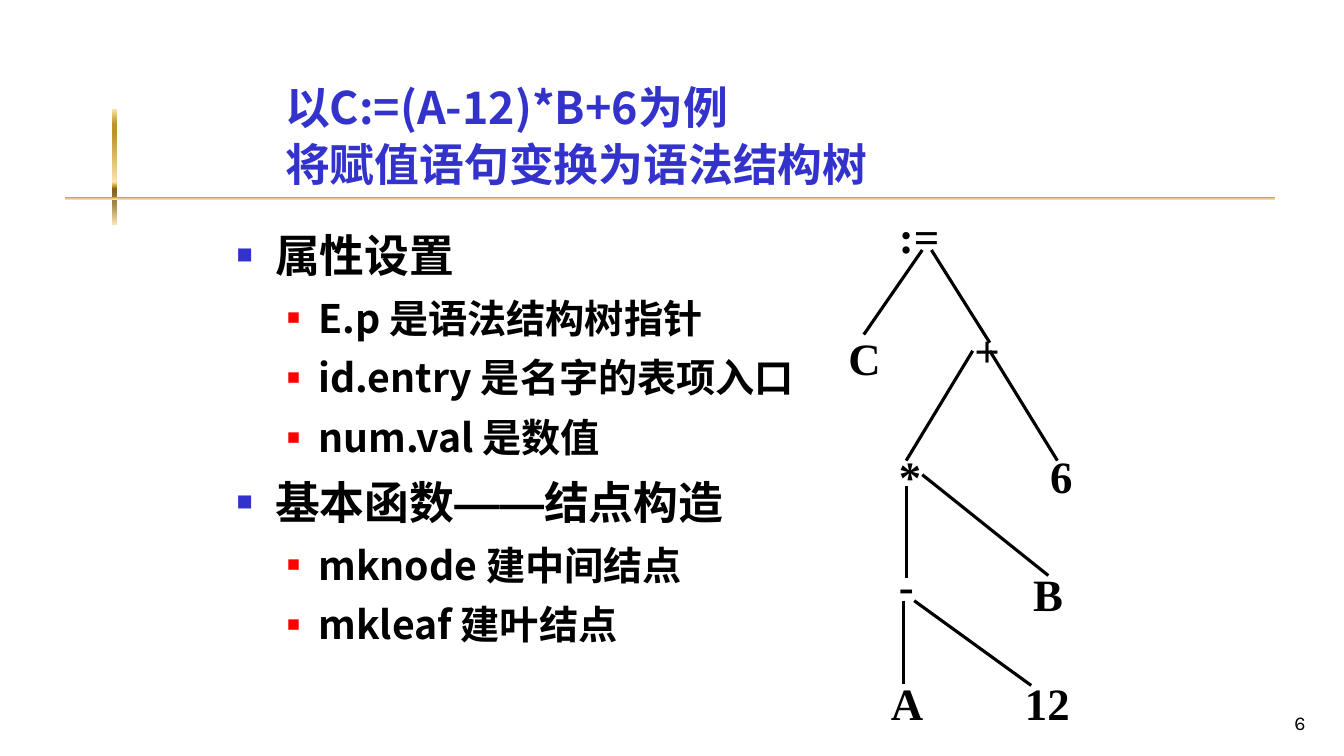
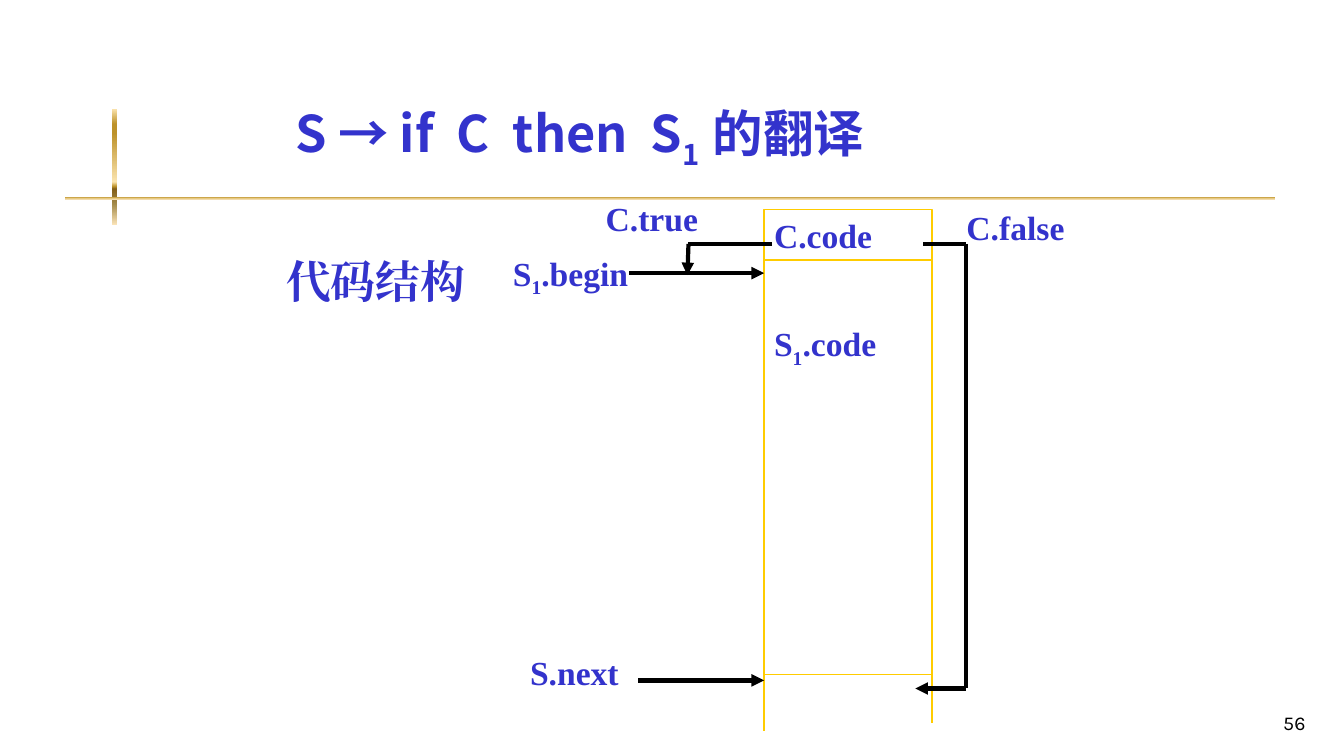
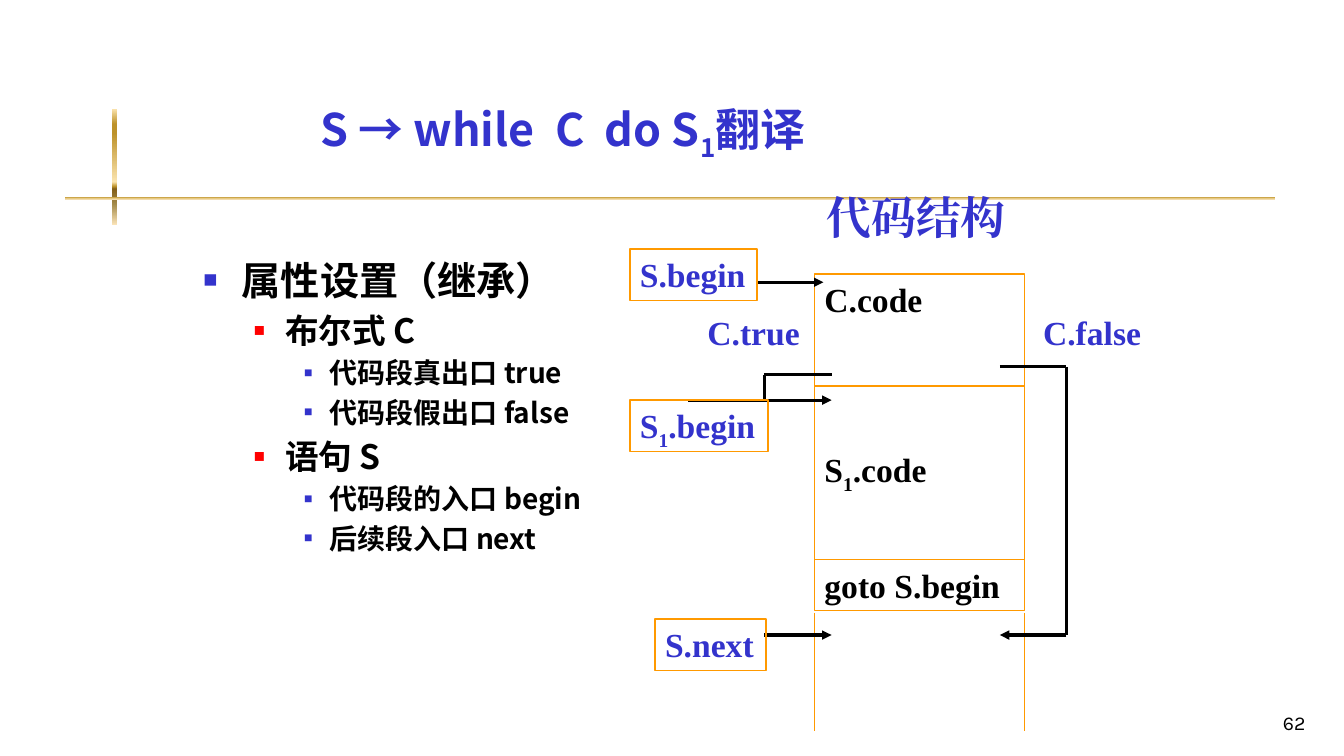
"""Build three compiler-course slides on syntax trees and control-flow translation."""
from dataclasses import dataclass
from typing import NamedTuple

from lxml.etree import SubElement
from pptx import Presentation
from pptx.dml.color import RGBColor
from pptx.enum.shapes import MSO_CONNECTOR as CONN, MSO_SHAPE as SHAPE
from pptx.enum.text import MSO_ANCHOR as ANCHOR, PP_ALIGN as ALIGN
from pptx.oxml.ns import qn
from pptx.slide import Slide
from pptx.util import Pt

COLORS = {
    "black": "000000",
    "blue": "3333CC",
    "red": "FF0000",
    "yellow": "FFCC00",
    "orange": "FF9900",
}
BAND_STOPS = [
    (0, "FBE4AE"), (13, "BD922A"), (21, "BD922A"), (63, "FBE4AE"),
    (67, "BD922A"), (69, "835E17"), (82, "A28949"), (100, "FAE3B7"),
]
SANS, SERIF, NUMBER, DASH = "Noto Sans CJK JP", "Times New Roman", "Karla", "Arial"
LINE_RATIO = 1.17
NODE_HEIGHT, LABEL_HEIGHT, CELL_HEIGHT = 45.4, 36, 36.7
SECOND_LINE_INSET = 45


class Run(NamedTuple):
    """A piece of text, optionally subscript or in another font."""
    text: str
    sub: bool = False
    font: str | None = None


class Level(NamedTuple):
    """Indents and bullet of one outline level."""
    margin: float
    hang: float
    color: str
    percent: int


class Rect(NamedTuple):
    """A position and size in points."""
    x: float
    y: float
    w: float
    h: float


class Item(NamedTuple):
    """One bulleted line of an outline."""
    level: int
    size: float
    runs: list[Run]


class Rail(NamedTuple):
    """A vertical line that continues a code column."""
    x: float
    top: float
    bottom: float


LEVELS = [
    Level(27.4, 27.4, "blue", 60),
    Level(58.3, 22.3, "red", 55),
    Level(90, 18, "blue", 50),
]
BANDS = [Rect(79.9, 77.8, 3.6, 82.8), Rect(46.8, 140.4, 864, 2.2)]


@dataclass
class Style:
    """Look of a text box."""
    size: float = 24
    font: str = SERIF
    color: str = "blue"
    bold: bool = True
    wrap: bool = True
    anchor: ANCHOR = ANCHOR.TOP
    align: ALIGN = ALIGN.LEFT
    outline: str | None = None
    top_inset: float = 3.6


@dataclass
class Route:
    """A chain of straight lines, with an optional arrowhead at its end."""
    points: list[tuple[float, float]]
    width: float = 2.25
    color: str = "black"
    arrow: bool = True


def rgb(name: str) -> RGBColor:
    """Return a named colour."""
    return RGBColor.from_string(COLORS[name])


def sub_one(before: str, after: str) -> list[Run]:
    """Return runs with a subscript 1 in the middle."""
    return [Run(before), Run("1", sub=True), Run(after)]


def add_runs(p, runs: list[Run], style: Style) -> None:
    """Append formatted runs to a paragraph."""
    for run in runs:
        r = p.add_run()
        r.text = run.text
        font = run.font or style.font
        r.font.name, r.font.size, r.font.bold = font, Pt(style.size), style.bold
        r.font.color.rgb = rgb(style.color)
        rPr = r.font._element
        SubElement(rPr, qn("a:ea")).set("typeface", font)
        if run.sub:
            rPr.set("baseline", "-25000")


def add_text(s: Slide, rect: Rect, lines: list[list[Run]], style: Style,
             leading: float | None = None) -> None:
    """Draw a text box or an outlined rectangle with text."""
    place = [Pt(v) for v in rect]
    if style.outline:
        sp = s.shapes.add_shape(SHAPE.RECTANGLE, *place)
        sp.shadow.inherit = False
        sp.fill.background()
        sp.line.color.rgb = rgb(style.outline)
        sp.line.width = Pt(1)
    else:
        sp = s.shapes.add_textbox(*place)
    tf = sp.text_frame
    tf.word_wrap = style.wrap
    tf.vertical_anchor = style.anchor
    tf.margin_top = Pt(style.top_inset)
    for i, runs in enumerate(lines):
        p = tf.add_paragraph() if i else tf.paragraphs[0]
        p.alignment = style.align
        if leading:
            p.line_spacing = Pt(round(style.size * LINE_RATIO * leading, 1))
        add_runs(p, runs, style)


def add_label(s: Slide, x: float, y: float, w: float, runs: list[Run],
              outline: str | None = None) -> None:
    """Draw a one-line blue label, boxed if an outline is given."""
    h = CELL_HEIGHT if outline else LABEL_HEIGHT
    add_text(s, Rect(x, y, w, h), [runs], Style(wrap=False, outline=outline))


def add_outline(s: Slide, rect: Rect, items: list[Item], leading: float) -> None:
    """Draw a bulleted outline."""
    tf = s.shapes.add_textbox(*[Pt(v) for v in rect]).text_frame
    tf.word_wrap = True
    for i, item in enumerate(items):
        p = tf.add_paragraph() if i else tf.paragraphs[0]
        level = LEVELS[item.level]
        p.level = item.level
        p.line_spacing = Pt(round(item.size * LINE_RATIO * leading, 1))
        p.space_before = Pt(round(item.size * LINE_RATIO * 0.2, 1))
        pPr = p._p.get_or_add_pPr()
        pPr.set("marL", str(Pt(level.margin)))
        pPr.set("indent", str(-Pt(level.hang)))
        color = SubElement(pPr, qn("a:buClr"))
        SubElement(color, qn("a:srgbClr")).set("val", COLORS[level.color])
        SubElement(pPr, qn("a:buSzPct")).set("val", str(level.percent * 1000))
        SubElement(pPr, qn("a:buFont")).set("typeface", DASH)
        SubElement(pPr, qn("a:buChar")).set("char", "■")
        add_runs(p, item.runs, Style(item.size, SANS, "black"))


def add_route(s: Slide, route: Route) -> None:
    """Draw the lines of a route one after another."""
    for start, end in zip(route.points, route.points[1:]):
        line = s.shapes.add_connector(CONN.STRAIGHT, *[Pt(v) for v in start + end])
        line.line.width = Pt(route.width)
        line.line.color.rgb = rgb(route.color)
        if route.arrow and end == route.points[-1]:
            SubElement(line.line._get_or_add_ln(), qn("a:tailEnd")).set("type", "triangle")
        SubElement(line._element.spPr, qn("a:effectLst"))


def add_rails(s: Slide, rails: list[Rail], color: str) -> None:
    """Draw the open sides below a code column."""
    for x, top, bottom in rails:
        add_route(s, Route([(x, top), (x, bottom)], 1, color, arrow=False))


def add_band(s: Slide, rect: Rect) -> None:
    """Draw one gold gradient band."""
    sp = s.shapes.add_shape(SHAPE.RECTANGLE, *[Pt(v) for v in rect])
    sp.shadow.inherit = False
    sp.line.fill.background()
    sp.fill.gradient()
    sp.fill.gradient_angle = 270
    stops = sp._element.spPr.find(qn("a:gradFill")).find(qn("a:gsLst"))
    for stop in list(stops):
        stops.remove(stop)
    for pos, color in BAND_STOPS:
        stop = SubElement(stops, qn("a:gs"))
        stop.set("pos", str(pos * 1000))
        SubElement(stop, qn("a:srgbClr")).set("val", color)


def new_slide(prs, number: int, title_at: Rect, title: list[list[Run]],
              size: float = 32, leading: float = 1) -> Slide:
    """Add a slide with bands, title and slide number."""
    s = prs.slides.add_slide(prs.slide_layouts[6])
    for band in BANDS:
        add_band(s, band)
    add_text(s, title_at, title, Style(size, SANS, anchor=ANCHOR.BOTTOM), leading)
    add_text(s, Rect(739.4, 491.8, 200.2, 36), [[Run(str(number))]],
             Style(14, NUMBER, "black", False, anchor=ANCHOR.BOTTOM, align=ALIGN.RIGHT))
    return s


def build_tree(prs) -> None:
    """Build the syntax tree slide."""
    s = new_slide(prs, 6, Rect(196.5, 26, 437.8, 113.8),
                  [[Run("以C:=(A-12)*B+6为例")], [Run("将赋值语句变换为语法结构树")]],
                  leading=1.1)
    add_outline(s, Rect(162, 156.2, 432, 324), [
        Item(0, 32, [Run("属性设置")]),
        Item(1, 28, [Run("E.p 是语法结构树指针")]),
        Item(1, 28, [Run("id.entry 是名字的表项入口")]),
        Item(1, 28, [Run("num.val 是数值")]),
        Item(0, 32, [Run("基本函数"), Run("——", font=DASH), Run("结点构造")]),
        Item(1, 28, [Run("mknode 建中间结点")]),
        Item(1, 28, [Run("mkleaf 建叶结点")]),
    ], 1.1)
    nodes = [
        (":=", 635, 145.4, 54), ("C", 599, 232.6, 54), ("+", 689, 226.8, 60),
        ("*", 635, 316.8, 42), ("6", 743, 316.8, 54), ("-", 635, 394.6, 48),
        ("B", 730.8, 401, 48), ("A", 629.3, 478.8, 48), ("12", 725, 478.8, 60),
    ]
    for text, x, y, w in nodes:
        add_text(s, Rect(x, y, w, NODE_HEIGHT), [[Run(text)]], Style(32, color="black"))
    branches = [
        [(658.8, 178.6), (617, 239)], [(665.3, 178.6), (707, 244.8)],
        [(694.8, 250.6), (647.3, 329)], [(707, 250.6), (755.3, 329)],
        [(647.3, 347), (647.3, 412.6)], [(658.8, 339.1), (748.8, 411.1)],
        [(645.1, 429.1), (645.1, 488.9)], [(653, 429.1), (736.6, 489.6)],
    ]
    for points in branches:
        add_route(s, Route(points, arrow=False))


def build_if(prs) -> None:
    """Build the if-then translation slide."""
    s = new_slide(prs, 56, Rect(203.8, 66.2, 606.2, 59.8),
                  [[Run("S → if  C  then  S"), Run("1  ", sub=True), Run("的翻译")]], 36)
    add_text(s, Rect(197.3, 177.8, 146.2, 46), [[Run("代码结构")]], Style(32, wrap=False))
    left, width = 545.8, 120
    add_text(s, Rect(left, 149.8, width, 36), [[Run("C.code")]], Style(outline="yellow"))
    add_text(s, Rect(left, 185.8, width, 296), [sub_one("S", ".code")],
             Style(outline="yellow", top_inset=SECOND_LINE_INSET))
    add_rails(s, [Rail(left, 468, 522), Rail(left + width, 462.2, 516.2)], "yellow")
    add_label(s, 359.3, 177.1, 98, sub_one("S", ".begin"))
    add_label(s, 425.5, 138.2, 80.6, [Run("C.true")])
    add_label(s, 371.5, 462.2, 77.8, [Run("S.next")])
    add_label(s, 683.3, 144, 84.2, [Run("C.false")])
    jumps = [
        [(551.5, 174.2), (491.8, 174.2), (491, 196.6)],
        [(449.3, 195.1), (left, 195.1)],
        [(455.8, 486), (left, 486)],
        [(659.5, 174.2), (689.8, 174.2), (689.8, 491.8), (653.8, 491.8)],
    ]
    for points in jumps:
        add_route(s, Route(points, 3))


def build_while(prs) -> None:
    """Build the while-do translation slide."""
    s = new_slide(prs, 62, Rect(221.8, 72, 540, 48), [sub_one("S → while  C  do S", "翻译")])
    add_outline(s, Rect(138.2, 180, 300, 270), [
        Item(0, 28, [Run("属性设置（继承）")]),
        Item(1, 24, [Run("布尔式 C")]),
        Item(2, 20, [Run("代码段真出口 true")]),
        Item(2, 20, [Run("代码段假出口 false")]),
        Item(1, 24, [Run("语句 S")]),
        Item(2, 20, [Run("代码段的入口 begin")]),
        Item(2, 20, [Run("后续段入口 next")]),
    ], 1)
    add_text(s, Rect(583.2, 131.8, 169.2, NODE_HEIGHT), [[Run("代码结构")]], Style(32))
    left, width = 581.8, 150
    cells = [
        (195.8, 80, [Run("C.code")], 3.6),
        (275.8, 123.8, sub_one("S", ".code"), SECOND_LINE_INSET),
        (399.6, CELL_HEIGHT, [Run("goto S.begin")], 3.6),
    ]
    for top, height, runs, inset in cells:
        add_text(s, Rect(left, top, width, height), [runs],
                 Style(color="black", outline="orange", top_inset=inset))
    add_rails(s, [Rail(x, 437.8, 522) for x in (left, left + width)], "orange")
    jumps = [
        Route([(594, 267.8), (545.8, 267.8), (545.8, 285.8)], arrow=False),
        Route([(491.8, 285.8), (594, 285.8)]),
        Route([(714.2, 262.1), (761.8, 262.1), (761.8, 453.6), (714.2, 453.6)]),
        Route([(545.8, 453.6), (594, 453.6)]),
        Route([(540, 201.6), (588.2, 201.6)]),
    ]
    for route in jumps:
        add_route(s, route)
    add_label(s, 498.2, 219.6, 80.6, [Run("C.true")])
    add_label(s, 738, 219.6, 84.2, [Run("C.false")])
    add_label(s, 450, 177.8, 90.7, [Run("S.begin")], "orange")
    add_label(s, 450, 285.8, 98.6, sub_one("S", ".begin"), "orange")
    add_label(s, 468, 442.1, 79.2, [Run("S.next")], "orange")


def main() -> None:
    """Build and save the presentation."""
    prs = Presentation()
    prs.slide_width, prs.slide_height = Pt(960), Pt(540)
    build_tree(prs)
    build_if(prs)
    build_while(prs)
    prs.save("out.pptx")


if __name__ == "__main__":
    main()
